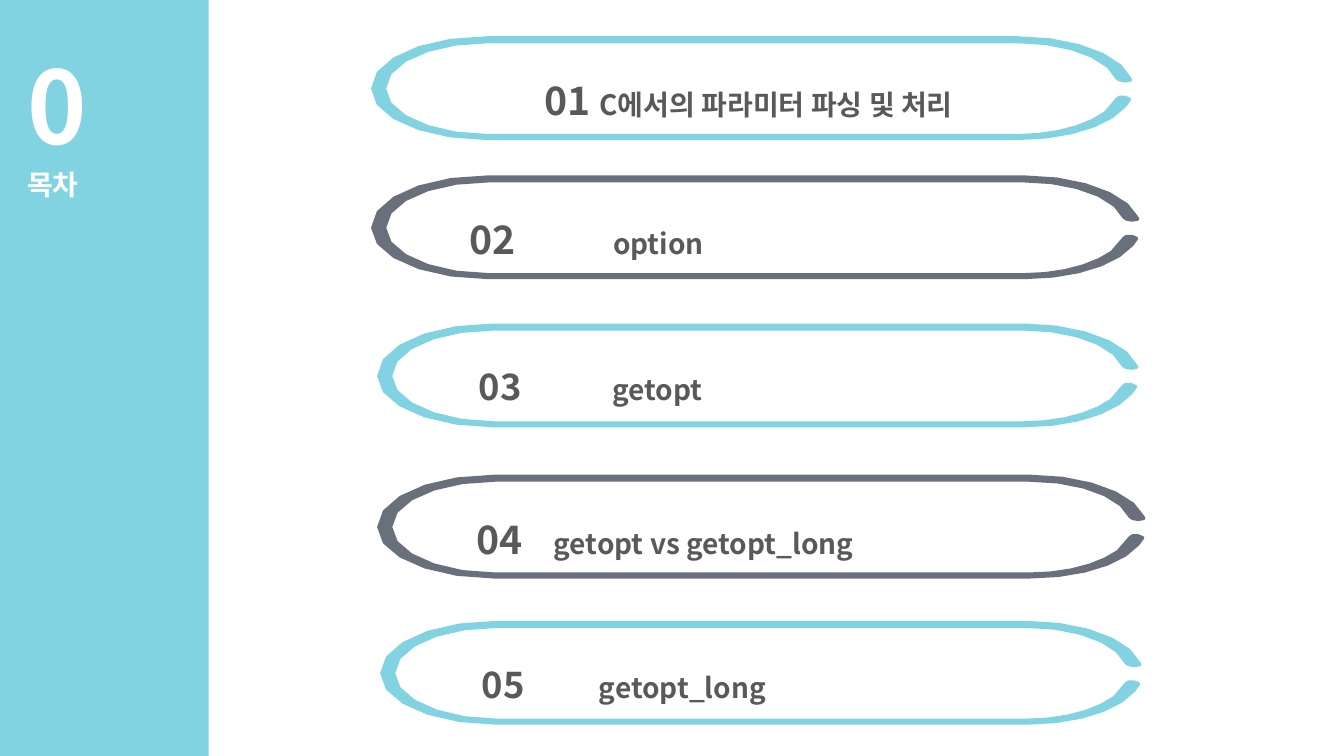
from dataclasses import dataclass

import pptx
import pptx.dml.color
import pptx.enum.shapes
import pptx.enum.text
import pptx.oxml.ns
import pptx.util
from lxml import etree

EMU_PER_PX = 9144
FONT = "Noto Sans CJK KR"
AQUA = pptx.dml.color.RGBColor(0x81, 0xD3, 0xE1)
SLATE = pptx.dml.color.RGBColor(0x6A, 0x6F, 0x7C)
GRAY = pptx.dml.color.RGBColor(0x59, 0x59, 0x59)
WHITE = pptx.dml.color.RGBColor(0xFF, 0xFF, 0xFF)
ALIGN = pptx.enum.text.PP_ALIGN
CURVE_STEPS = 5
RING_WIDTH = 755
RING_START = (115, 0)
RING = [
    [(642, 0)],
    [(697, 0), (744, 18), (754, 41)],
    [(755, 43)],
    [(754, 45)],
    [(748, 46)],
    [(742, 45)],
    [(739, 43)],
    [(730, 22), (689, 7), (641, 7)],
    [(116, 7)],
    [(60, 7), (15, 27), (15, 52)],
    [(15, 76), (60, 97), (116, 97)],
    [(641, 97)],
    [(677, 97), (709, 88), (727, 75)],
    [(739, 61)],
    [(742, 59)],
    [(748, 59)],
    [(753, 61)],
    [(754, 63)],
    [(749, 70)],
    [(732, 90), (690, 103), (642, 103)],
    [(115, 103)],
    [(51, 103), (0, 80), (0, 52)],
    [(0, 23), (51, 0), (115, 0)],
]


@dataclass
class Banner:
    left: int
    top: int
    width: int
    color: pptx.dml.color.RGBColor
    number: str
    size: int
    title: str
    indent: int = 10
    tab: int = 0


BANNERS = [
    Banner(368, 36, 755, AQUA, "01", 28, "C에서의 파라미터 파싱 및 처리"),
    Banner(368, 174, 762, SLATE, "02", 28, "option", 98, 142),
    Banner(374, 321, 755, AQUA, "03", 26, "getopt", 101, 132),
    Banner(374, 471, 762, SLATE, "04", 28, "getopt vs getopt_long", 99, 76),
    Banner(377, 616, 755, AQUA, "05", 26, "getopt_long", 101, 116),
]


def px(value: float) -> int:
    return round(value * EMU_PER_PX)


def ring_points() -> list[tuple[float, float]]:
    points = [RING_START]
    for segment in RING:
        if len(segment) == 1:
            points.append(segment[0])
            continue
        a, (b, c, d) = points[-1], segment
        for step in range(1, CURVE_STEPS + 1):
            t = step / CURVE_STEPS
            u = 1 - t
            points.append(tuple(
                u**3 * a[i] + 3 * u * u * t * b[i] + 3 * u * t * t * c[i] + t**3 * d[i]
                for i in (0, 1)
            ))
    return points[:-1]


def paint(s, color: pptx.dml.color.RGBColor) -> None:
    s.shadow.inherit = False
    s.fill.solid()
    s.fill.fore_color.rgb = color
    s.line.fill.background()


def add_run(p, text: str, size: int, color: pptx.dml.color.RGBColor) -> None:
    r = p.add_run()
    r.text = text
    for name, value in {"name": FONT, "size": pptx.util.Pt(size), "bold": True}.items():
        setattr(r.font, name, value)
    r.font.color.rgb = color
    ea = etree.SubElement(r.font._element, pptx.oxml.ns.qn("a:ea"))
    ea.set("typeface", FONT)


def add_tab_stop(p, position: int) -> None:
    tabs = etree.SubElement(p._p.get_or_add_pPr(), pptx.oxml.ns.qn("a:tabLst"))
    tab = etree.SubElement(tabs, pptx.oxml.ns.qn("a:tab"))
    tab.set("pos", str(px(position)))
    tab.set("algn", "l")


def add_banner(slide, banner: Banner) -> None:
    stretch = banner.width / RING_WIDTH
    points = [(px(x * stretch), px(y)) for x, y in ring_points()]
    builder = slide.shapes.build_freeform(*points[0])
    builder.add_line_segments(points[1:], close=True)
    s = builder.convert_to_shape(px(banner.left), px(banner.top))
    paint(s, banner.color)
    tf = s.text_frame
    frame = {"word_wrap": True, "margin_left": px(banner.indent), "margin_right": px(16),
             "vertical_anchor": pptx.enum.text.MSO_ANCHOR.MIDDLE}
    for name, value in frame.items():
        setattr(tf, name, value)
    p = tf.paragraphs[0]
    p.line_spacing = 1.5
    p.alignment = ALIGN.LEFT if banner.tab else ALIGN.CENTER
    if banner.tab:
        add_tab_stop(p, banner.tab)
    add_run(p, banner.number + ("\t" if banner.tab else " "), banner.size, GRAY)
    add_run(p, banner.title, 20, GRAY)


def add_heading(slide) -> None:
    tf = slide.shapes.add_textbox(px(27), px(45), px(114), px(120)).text_frame
    frame = {"word_wrap": False, "margin_left": 0, "margin_top": 0,
             "margin_right": 0, "margin_bottom": 0,
             "auto_size": pptx.enum.text.MSO_AUTO_SIZE.SHAPE_TO_FIT_TEXT}
    for name, value in frame.items():
        setattr(tf, name, value)
    for p, text, size, spacing in (
        (tf.paragraphs[0], "0", 72, 85),
        (tf.add_paragraph(), "목차", 20, 26),
    ):
        p.alignment = ALIGN.LEFT
        p.line_spacing = pptx.util.Pt(spacing)
        add_run(p, text, size, WHITE)


def main() -> None:
    prs = pptx.Presentation()
    prs.slide_width, prs.slide_height = px(1333), px(750)
    slide = prs.slides.add_slide(prs.slide_layouts[6])
    sidebar = slide.shapes.add_shape(
        pptx.enum.shapes.MSO_SHAPE.RECTANGLE, 0, 0, px(207), px(750))
    paint(sidebar, AQUA)
    add_heading(slide)
    for banner in BANNERS:
        add_banner(slide, banner)
    prs.save("out.pptx")


if __name__ == "__main__":
    main()
